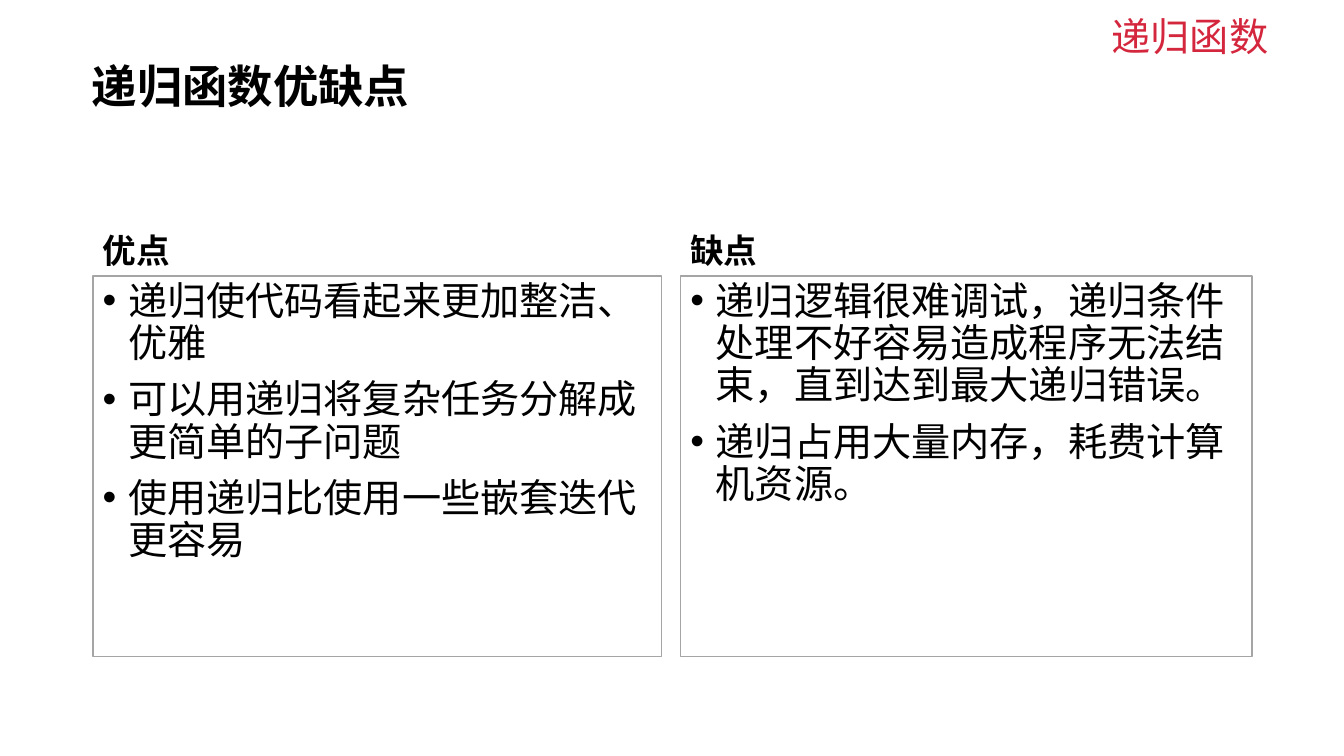
from pptx import Presentation
from pptx.dml.color import RGBColor
from pptx.enum import shapes, text
from pptx.oxml import ns
from pptx.util import Cm, Pt
from lxml import etree

TITLE = "递归函数优缺点"
TOPIC = "递归函数"
SIDES = [
    ("优点", 2.34, 14.33, [
        "递归使代码看起来更加整洁、优雅",
        "可以用递归将复杂任务分解成更简单的子问题",
        "使用递归比使用一些嵌套迭代更容易",
    ]),
    ("缺点", 17.15, 14.4, [
        "递归逻辑很难调试，递归条件处理不好容易造成程序无法结束，直到达到最大递归错误。",
        "递归占用大量内存，耗费计算机资源。",
    ]),
]
HEAD_TOP, HEAD_TALL, BODY_TALL = 4.67, 2.29, 9.58
FONT = "Noto Sans CJK SC"
BLACK = RGBColor(0, 0, 0)
WHITE = RGBColor(255, 255, 255)
GREY = RGBColor(0xA5, 0xA5, 0xA5)
RED = RGBColor(0xD4, 0x27, 0x3E)
LEFT, CENTER = text.PP_ALIGN.LEFT, text.PP_ALIGN.CENTER
TOP, MIDDLE, BOTTOM = (text.MSO_ANCHOR.TOP, text.MSO_ANCHOR.MIDDLE,
                       text.MSO_ANCHOR.BOTTOM)


def write(shape, lines, size, color=BLACK, bold=False, anchor=TOP,
          align=LEFT, space=0.9, before=0, wrap=True):
    frame = shape.text_frame
    frame.text = "\n".join(lines)
    frame.word_wrap = wrap
    frame.auto_size = text.MSO_AUTO_SIZE.NONE
    frame.vertical_anchor = anchor
    for para in frame.paragraphs:
        para.alignment = align
        para.line_spacing = space
        para.space_before = Pt(before)
        for run in para.runs:
            font = run.font
            font.name, font.size, font.bold = FONT, Pt(size), bold
            font.color.rgb = color
            east = etree.SubElement(font._element, ns.qn("a:ea"))
            east.set("typeface", FONT)


def bullet(para):
    props = para._p.get_or_add_pPr()
    props.set("marL", str(Cm(0.64)))
    props.set("indent", str(-Cm(0.64)))
    etree.SubElement(props, ns.qn("a:buFont")).set("typeface", "Arial")
    etree.SubElement(props, ns.qn("a:buChar")).set("char", "•")


deck = Presentation()
deck.slide_width, deck.slide_height = Cm(33.87), Cm(19.05)
slide = deck.slides.add_slide(deck.slide_layouts[5])

title = slide.shapes.title
title.left, title.top = Cm(2.06), Cm(1.65)
title.width, title.height = Cm(29.21), Cm(1.19)
write(title, [TITLE], 32.4, bold=True, anchor=MIDDLE)

for name, left, wide, points in SIDES:
    head = slide.shapes.add_textbox(
        Cm(left), Cm(HEAD_TOP), Cm(wide), Cm(HEAD_TALL))
    write(head, [name], 24, bold=True, anchor=BOTTOM, before=10)

    body = slide.shapes.add_shape(
        shapes.MSO_SHAPE.RECTANGLE,
        Cm(left), Cm(HEAD_TOP + HEAD_TALL), Cm(wide), Cm(BODY_TALL))
    body.shadow.inherit = False
    body.fill.solid()
    body.fill.fore_color.rgb = WHITE
    body.line.color.rgb = GREY
    body.line.width = Pt(1)
    write(body, points, 28, before=10)
    for para in body.text_frame.paragraphs:
        bullet(para)

topic = slide.shapes.add_textbox(Cm(27.74), Cm(0.18), Cm(4.5), Cm(1.45))
write(topic, [TOPIC], 28, color=RED, align=CENTER, space=1.0, wrap=False)

deck.save("out.pptx")
